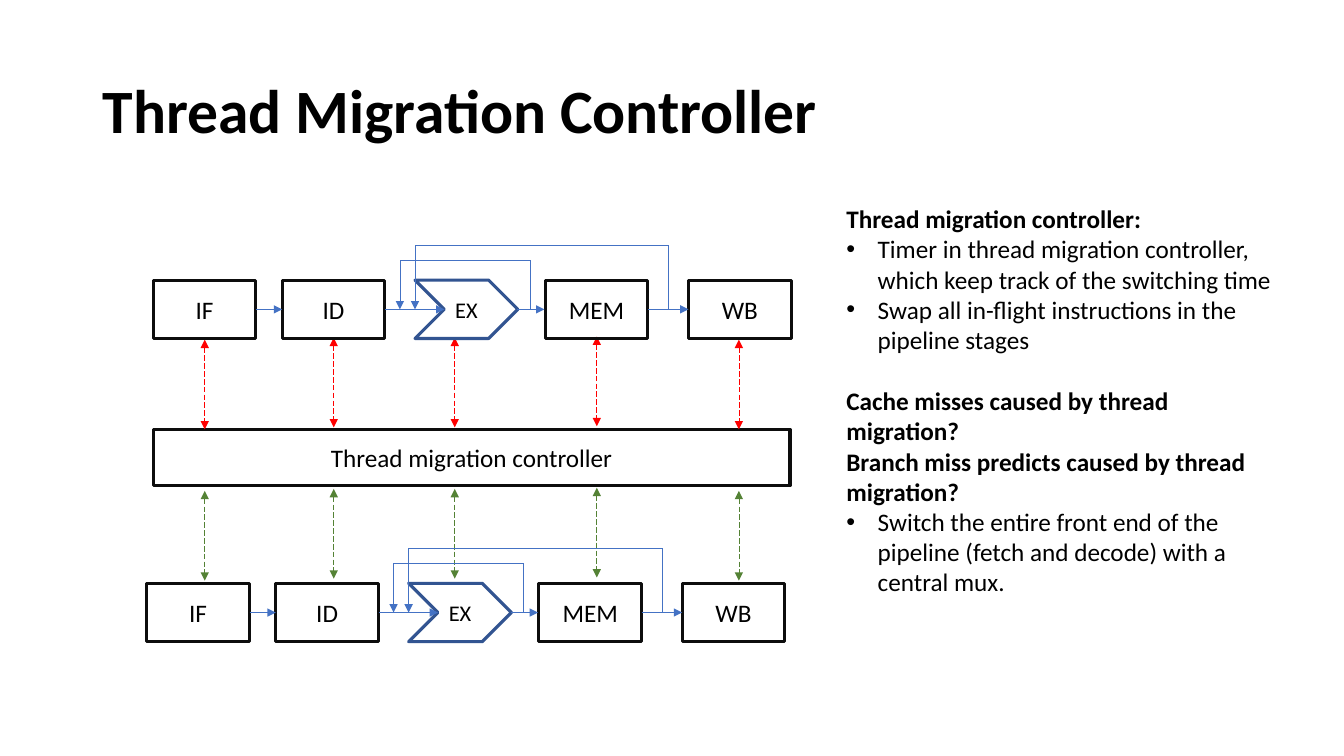
import pptx
import pptx.dml.color
import pptx.enum.dml
import pptx.enum.shapes
import pptx.enum.text
import pptx.oxml
import pptx.oxml.ns
import pptx.util

Cm = pptx.util.Cm
Pt = pptx.util.Pt
Shape = pptx.enum.shapes.MSO_SHAPE
Connector = pptx.enum.shapes.MSO_CONNECTOR
Align = pptx.enum.text.PP_ALIGN
Anchor = pptx.enum.text.MSO_ANCHOR

BLACK, INK, NAVY = "000000", "0D0D0D", "325491"
BLUE, RED, GREEN = "4472C4", "FF0000", "548235"

STAGE_WIDTH, STAGE_HEIGHT = 2.59, 1.47
STAGES = [("IF", 0), ("ID", 3.25), ("MEM", 9.88), ("WB", 13.49), ("EX", 6.6)]
FLOWS = [(2.59, 3.25), (5.84, 7.34), (9.17, 9.86), (12.47, 13.49)]
FEEDBACKS = [(9.5, 6.22, 0.51), (12.98, 6.6, 0.89)]
SWAPS = [(5.16, 8.56), (8.41, 8.51), (11.46, 8.51), (15.04, 8.48), (18.62, 8.56)]
SWAP_LENGTH = 2.26
NOTES = [
    ("Thread migration controller:", False, 0),
    ("Timer in thread migration controller, which keep track of the switching time", True, 0),
    ("Swap all in-flight instructions in the pipeline stages", True, 0),
    ("Cache misses caused by thread migration?", False, 22),
    ("Branch miss predicts caused by thread migration?", False, 0),
    ("Switch the entire front end of the pipeline (fetch and decode) with a central mux.", True, 0),
]


def colour(value):
    return pptx.dml.color.RGBColor.from_string(value)


def append(parent, tag, **attributes):
    element = pptx.oxml.parse_xml(f"<{tag} {pptx.oxml.ns.nsdecls('a')}/>")
    for name, value in attributes.items():
        element.set(name, value)
    parent.append(element)


class Diagram:
    """Draws styled elements on the current slide."""

    font = "Calibri"

    def __init__(self, page):
        self.page = page
        self.canvas = page.shapes

    def start_group(self):
        self.canvas = self.page.shapes.add_group_shape().shapes

    def add_span(self, para, text, size, bold=False):
        span = para.add_run()
        span.text = text
        span.font.name = self.font
        span.font.size = Pt(size)
        span.font.bold = bold
        span.font.color.rgb = colour(BLACK)

    def title(self, text, left, top, width, height):
        box = self.page.shapes.title
        box.left, box.top, box.width, box.height = map(Cm, (left, top, width, height))
        box.text_frame.vertical_anchor = Anchor.MIDDLE
        box.text_frame.auto_size = pptx.enum.text.MSO_AUTO_SIZE.NONE
        para = box.text_frame.paragraphs[0]
        para.alignment = Align.LEFT
        para.line_spacing = 0.9
        self.add_span(para, text, 44, True)

    def block(self, kind, text, left, top, width, height, line=INK, size=18):
        box = self.canvas.add_shape(kind, Cm(left), Cm(top), Cm(width), Cm(height))
        box.shadow.inherit = False
        box.fill.background()
        box.line.color.rgb = colour(line)
        box.line.width = Pt(2.25)
        box.text_frame.vertical_anchor = Anchor.MIDDLE
        para = box.text_frame.paragraphs[0]
        para.alignment = Align.CENTER
        self.add_span(para, text, size)

    def link(self, start, end, line=BLUE, kind=Connector.STRAIGHT, ends=("tailEnd",), dashed=False):
        link = self.canvas.add_connector(kind, *map(Cm, (*start, *end)))
        append(link._element.spPr, "a:effectLst")
        link.line.color.rgb = colour(line)
        link.line.width = Pt(0.5)
        if dashed:
            link.line.dash_style = pptx.enum.dml.MSO_LINE.LONG_DASH
        for end_name in ends:
            append(link.line._get_or_add_ln(), f"a:{end_name}", type="triangle")
        if kind == Connector.ELBOW:
            guides = link._element.spPr.prstGeom.get_or_add_avLst()
            append(guides, "a:gd", name="adj1", fmla="val 100000")

    def notes(self, entries, left, top, width, height):
        box = self.page.shapes.add_textbox(Cm(left), Cm(top), Cm(width), Cm(height))
        frame = box.text_frame
        frame.word_wrap = True
        for index, (text, bulleted, gap) in enumerate(entries):
            para = frame.add_paragraph() if index else frame.paragraphs[0]
            para.space_before = Pt(gap)
            if bulleted:
                properties = para._p.get_or_add_pPr()
                properties.set("marL", str(Cm(0.79)))
                properties.set("indent", str(-Cm(0.79)))
                append(properties, "a:buFont", typeface="Arial")
                append(properties, "a:buChar", char="•")
            self.add_span(para, text, 18, not bulleted)

    def pipeline(self, left, top):
        self.start_group()
        for name, offset in STAGES:
            kind, line, size = (Shape.CHEVRON, NAVY, 16) if name == "EX" else (Shape.RECTANGLE, INK, 18)
            self.block(kind, name, left + offset, top, STAGE_WIDTH, STAGE_HEIGHT, line, size)
        middle = top + STAGE_HEIGHT / 2
        for start, end in FLOWS:
            self.link((left + start, middle), (left + end, middle))
        for start, end, rise in FEEDBACKS:
            corner = (left + start, top - rise)
            self.link((left + start, middle), corner, ends=())
            self.link(corner, (left + end, middle), kind=Connector.ELBOW)


def main():
    deck = pptx.Presentation()
    deck.slide_width, deck.slide_height = Cm(33.87), Cm(19.05)
    diagram = Diagram(deck.slides.add_slide(deck.slide_layouts[5]))
    diagram.title("Thread Migration Controller", 2.33, 1.02, 29.21, 3.68)
    diagram.block(Shape.RECTANGLE, "Thread migration controller", 3.86, 10.82, 16.05, 1.42)
    for line, drop in ((RED, 0), (GREEN, 3.81)):
        for x, y in SWAPS:
            start, end = (x, y + drop), (x, y + drop + SWAP_LENGTH)
            diagram.link(start, end, line, ends=("headEnd", "tailEnd"), dashed=True)
    diagram.notes(NOTES, 21.08, 5, 11.51, 11.02)
    diagram.pipeline(3.86, 7.06)
    diagram.pipeline(3.7, 14.7)
    deck.save("out.pptx")


if __name__ == "__main__":
    main()
